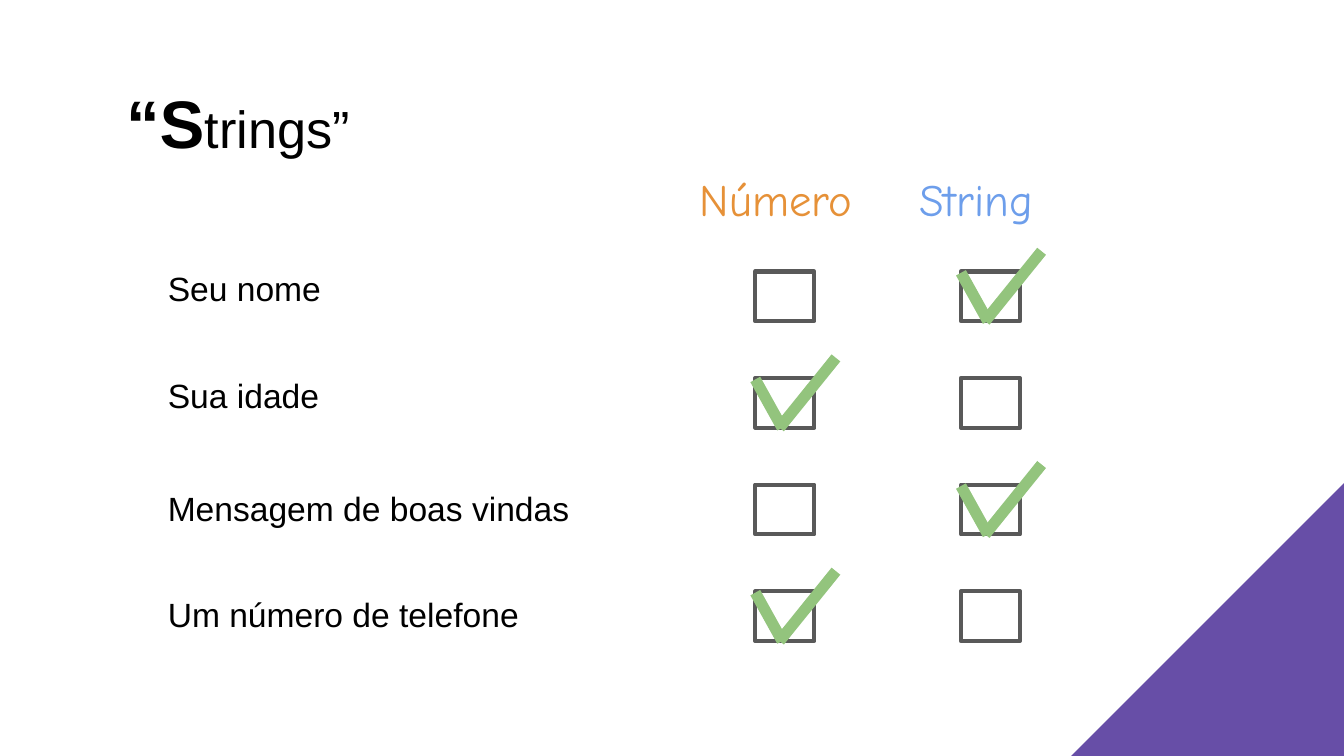
from copy import deepcopy
from dataclasses import dataclass

from lxml import etree
from pptx import Presentation
from pptx import util as u
from pptx.dml.color import RGBColor
from pptx.enum import shapes, text
from pptx.oxml import ns


@dataclass(frozen=True)
class Theme:
    purple: str = "674EA7"
    white: str = "FFFFFF"
    black: str = "000000"
    orange: str = "E69138"
    blue: str = "6D9EEB"
    green: str = "93C47D"
    gray: str = "595959"
    body_font: str = "Arial"
    header_font: str = "Comic Neue"
    initial: int = 36
    title: int = 28
    header: int = 24
    label: int = 18
    box_line: float = 2.25
    check_line: int = 6


@dataclass(frozen=True)
class Column:
    name: str
    left: float
    width: float
    color: str
    box_left: float


@dataclass(frozen=True)
class Row:
    label: str
    top: float
    answer: str


T = Theme()
COLUMNS = [
    Column("Número", 5.11, 1.46, T.orange, 5.62),
    Column("String", 6.74, 1.27, T.blue, 7.15),
]
ROWS = [
    Row("Seu nome", 1.89, "String"),
    Row("Sua idade", 2.69, "Número"),
    Row("Mensagem de boas vindas", 3.53, "String"),
    Row("Um número de telefone", 4.32, "Número"),
]
BOX_TOP, BOX_BOTTOM_ROW = 2.02, 4.4
BOX_PITCH = (BOX_BOTTOM_ROW - BOX_TOP) / (len(ROWS) - 1)
BOX_WIDTH, BOX_HEIGHT = 0.44, 0.37
CHECK_STROKES = [(0, 0.01, 0.2, 0.37), (0.18, 0.37, 0.6, -0.15)]


def rgb(color: str) -> RGBColor:
    return RGBColor.from_string(color)


def add_run(p, content: str, *, size: float, font: str = T.body_font,
            color: str = T.black, bold: bool = False) -> None:
    r = p.add_run()
    r.text = content
    r.font.size = u.Pt(size)
    r.font.name = font
    r.font.bold = bold
    r.font.color.rgb = rgb(color)


def add_text_box(s, left: float, top: float, width: float, height: float,
                 anchor=text.MSO_ANCHOR.TOP):
    sp = s.shapes.add_textbox(*map(u.Inches, (left, top, width, height)))
    tf = sp.text_frame
    tf.word_wrap = True
    tf.vertical_anchor = anchor
    tf.margin_left = tf.margin_right = u.Inches(0.1)
    tf.margin_top = tf.margin_bottom = u.Inches(0.1)
    return tf.paragraphs[0]


def paint_background(s) -> None:
    fill = s.background.fill
    fill.gradient()
    fill.gradient_angle = 135
    stops = s.element.xpath(".//a:gsLst")[0]
    for stop in list(stops):
        stops.append(deepcopy(stop))
    bands = [(0, T.purple), (0.13, T.purple), (0.13, T.white), (1, T.white)]
    for stop, (position, color) in zip(fill.gradient_stops, bands):
        stop.position = position
        stop.color.rgb = rgb(color)


def add_title(s) -> None:
    p = add_text_box(s, 0.34, 0.49, 9.32, 0.83, text.MSO_ANCHOR.MIDDLE)
    p._p.get_or_add_pPr().set("marL", str(u.Inches(0.5)))
    add_run(p, "“S", size=T.initial, bold=True)
    add_run(p, "trings”", size=T.title)


def add_box(s, left: float, top: float) -> None:
    sp = s.shapes.add_shape(shapes.MSO_SHAPE.RECTANGLE,
                            *map(u.Inches, (left, top, BOX_WIDTH, BOX_HEIGHT)))
    sp.shadow.inherit = False
    sp.fill.solid()
    sp.fill.fore_color.rgb = rgb(T.white)
    sp.line.color.rgb = rgb(T.gray)
    sp.line.width = u.Pt(T.box_line)


def add_check(s, left: float, top: float) -> None:
    group = s.shapes.add_group_shape()
    for x1, y1, x2, y2 in CHECK_STROKES:
        ends = (left + x1, top + y1, left + x2, top + y2)
        line = group.shapes.add_connector(shapes.MSO_CONNECTOR.STRAIGHT,
                                          *map(u.Inches, ends))
        line.line.color.rgb = rgb(T.green)
        line.line.width = u.Pt(T.check_line)
        etree.SubElement(line._element.spPr, ns.qn("a:effectLst"))


def main() -> None:
    prs = Presentation()
    prs.slide_width = u.Inches(10)
    prs.slide_height = u.Inches(10 * 9 / 16)
    s = prs.slides.add_slide(prs.slide_layouts[6])
    paint_background(s)
    add_title(s)
    for column in COLUMNS:
        p = add_text_box(s, column.left, 1.18, column.width, 0.62)
        add_run(p, column.name, size=T.header, font=T.header_font,
                color=column.color)
    for i, row in enumerate(ROWS):
        p = add_text_box(s, 1.15, row.top, 3.41, 0.62)
        add_run(p, row.label, size=T.label)
        box_top = BOX_TOP + i * BOX_PITCH
        for column in COLUMNS:
            add_box(s, column.box_left, box_top)
            if column.name == row.answer:
                add_check(s, column.box_left, box_top)
    prs.save("out.pptx")


if __name__ == "__main__":
    main()
